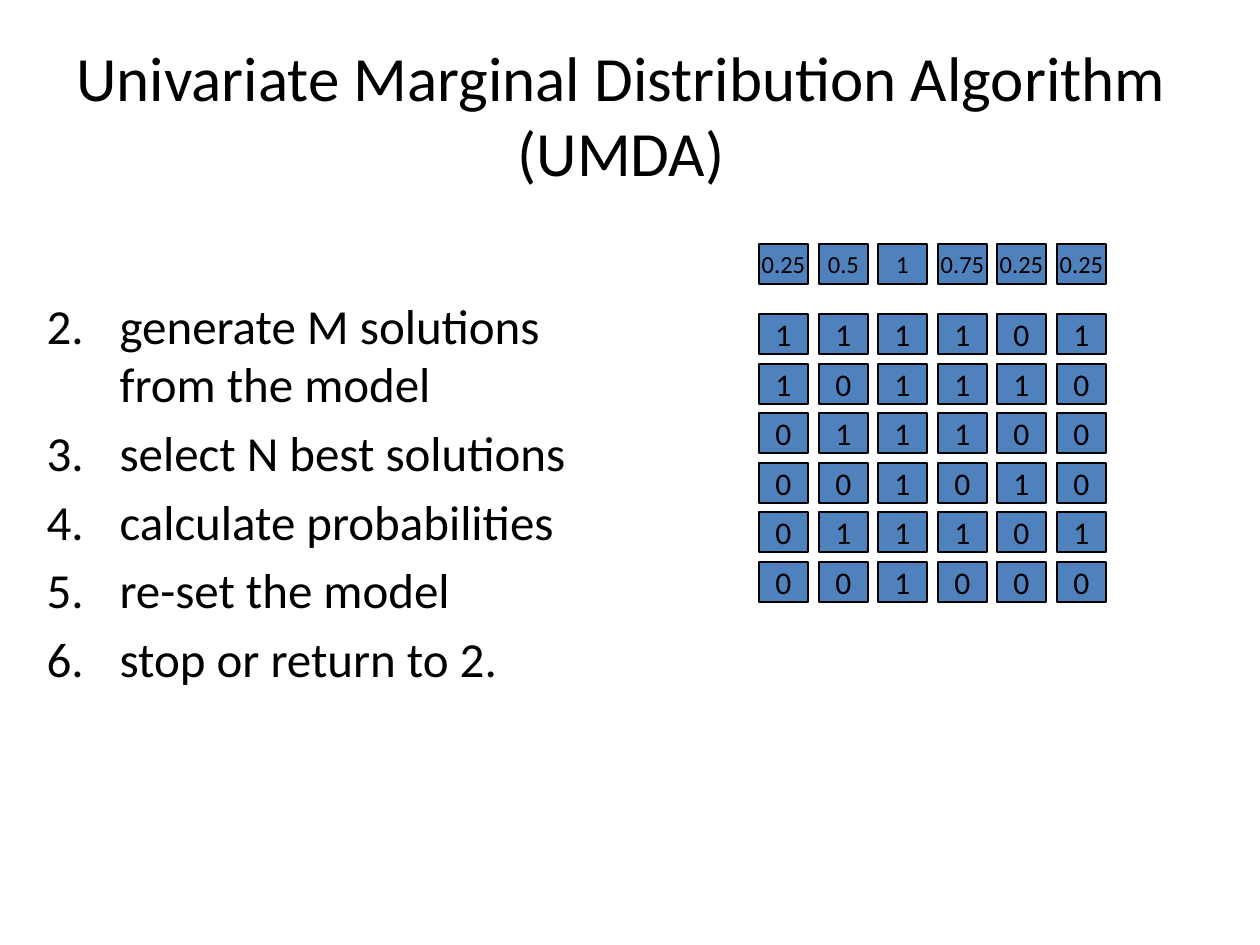
from dataclasses import dataclass

from lxml import etree
from pptx import Presentation
from pptx import util as u
from pptx.dml.color import RGBColor
from pptx.enum import shapes, text
from pptx.oxml import ns

PX_PER_INCH = 126
FONT = "Calibri"
BLACK = "000000"
CELL_BLUE = "4F81BD"

STEPS = [
    "generate M solutions from the model",
    "select N best solutions",
    "calculate probabilities",
    "re-set the model",
    "stop or return to 2.",
]
FIRST_STEP_NUMBER = 2
STEP_INDENT = 73

PROBABILITIES = ["0.25", "0.5", "1", "0.75", "0.25", "0.25"]
POPULATION = ["111101", "101110", "011100", "001010", "011101", "001000"]

CELL_WIDTH, CELL_HEIGHT = 49, 40
FIRST_COLUMN, LAST_COLUMN = 759, 1057
FIRST_ROW, LAST_ROW = 314, 562
MODEL_TOP = 244


@dataclass
class Cell:
    label: str
    left: int
    top: int
    font_size: int


def px(length: int) -> u.Emu:
    return u.Emu(round(length * 914400 / PX_PER_INCH))


def color(hex_code: str) -> RGBColor:
    return RGBColor.from_string(hex_code)


def spread(first: int, last: int, count: int) -> list[int]:
    """Return evenly spaced positions from first to last."""
    return [round(first + (last - first) * i / (count - 1)) for i in range(count)]


def place(shape, left: int, top: int, width: int, height: int) -> None:
    shape.left, shape.top = px(left), px(top)
    shape.width, shape.height = px(width), px(height)


def format_runs(paragraph, size: int) -> None:
    for run in paragraph.runs:
        run.font.size = u.Pt(size)
        run.font.name = FONT
        run.font.color.rgb = color(BLACK)


def number_paragraph(paragraph, start: int) -> None:
    """Give a paragraph a hanging indent and an automatic number."""
    properties = paragraph._p.get_or_add_pPr()
    properties.set("marL", str(px(STEP_INDENT)))
    properties.set("indent", str(-px(STEP_INDENT)))
    bullet_font = etree.SubElement(properties, ns.qn("a:buFont"))
    bullet_font.set("typeface", FONT)
    numbering = etree.SubElement(properties, ns.qn("a:buAutoNum"))
    numbering.set("type", "arabicPeriod")
    numbering.set("startAt", str(start))


def fill_title(title) -> None:
    place(title, 54, 35, 1134, 158)
    frame = title.text_frame
    frame.text = "Univariate Marginal Distribution Algorithm (UMDA)"
    frame.auto_size = text.MSO_AUTO_SIZE.NONE
    frame.vertical_anchor = text.MSO_ANCHOR.MIDDLE
    frame.paragraphs[0].alignment = text.PP_ALIGN.CENTER
    format_runs(frame.paragraphs[0], 36)


def fill_steps(body) -> None:
    place(body, 34, 220, 597, 624)
    frame = body.text_frame
    frame.text = "\n".join(STEPS)
    frame.auto_size = text.MSO_AUTO_SIZE.NONE
    frame.margin_top = px(75)
    for paragraph in frame.paragraphs:
        number_paragraph(paragraph, FIRST_STEP_NUMBER)
        format_runs(paragraph, 28)


def draw_cell(slide, cell: Cell) -> None:
    shape = slide.shapes.add_shape(
        shapes.MSO_SHAPE.RECTANGLE,
        px(cell.left), px(cell.top), px(CELL_WIDTH), px(CELL_HEIGHT),
    )
    shape.shadow.inherit = False
    shape.fill.solid()
    shape.fill.fore_color.rgb = color(CELL_BLUE)
    shape.line.color.rgb = color(BLACK)
    shape.line.width = u.Pt(0.75)
    frame = shape.text_frame
    frame.text = cell.label
    frame.word_wrap = False
    frame.vertical_anchor = text.MSO_ANCHOR.MIDDLE
    frame.paragraphs[0].alignment = text.PP_ALIGN.CENTER
    format_runs(frame.paragraphs[0], cell.font_size)


def main() -> None:
    presentation = Presentation()
    presentation.slide_width, presentation.slide_height = px(1260), px(945)
    slide = presentation.slides.add_slide(presentation.slide_layouts[1])
    fill_title(slide.shapes.title)
    fill_steps(slide.placeholders[1])

    columns = spread(FIRST_COLUMN, LAST_COLUMN, len(PROBABILITIES))
    rows = spread(FIRST_ROW, LAST_ROW, len(POPULATION))
    for top, solution in zip(rows, POPULATION):
        for left, bit in zip(columns, solution):
            draw_cell(slide, Cell(bit, left, top, 18))
    for left, probability in zip(columns, PROBABILITIES):
        draw_cell(slide, Cell(probability, left, MODEL_TOP, 14))

    presentation.save("out.pptx")


if __name__ == "__main__":
    main()
